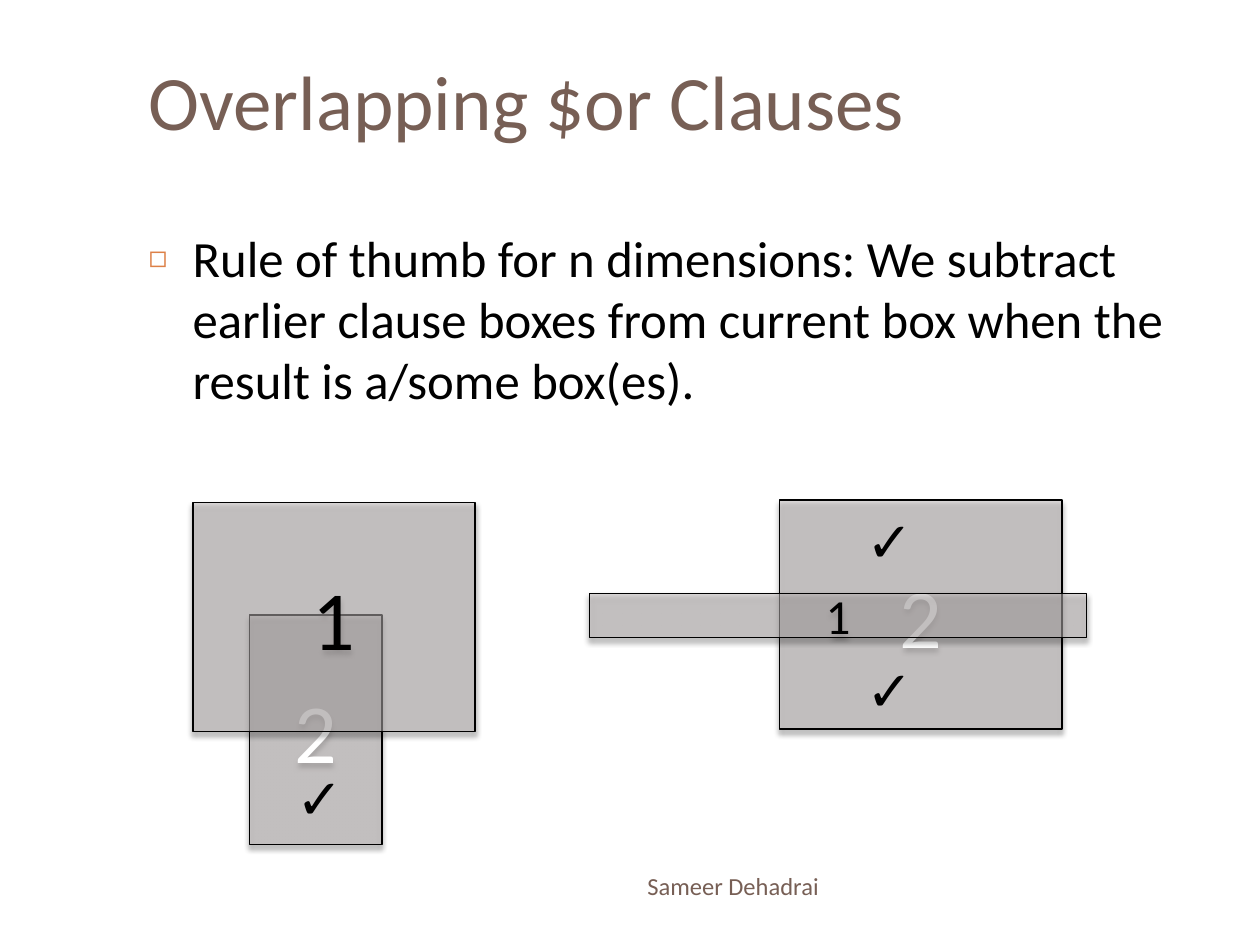
from lxml import etree
from pptx import Presentation
from pptx.dml.color import RGBColor
from pptx.enum.shapes import MSO_SHAPE
from pptx.enum.text import MSO_ANCHOR, MSO_AUTO_SIZE, PP_ALIGN
from pptx.oxml import parse_xml
from pptx.oxml.ns import qn
from pptx.util import Cm, Pt

RECTANGLE = MSO_SHAPE.RECTANGLE
TOP, MIDDLE = MSO_ANCHOR.TOP, MSO_ANCHOR.MIDDLE
LEFT, CENTER, RIGHT = PP_ALIGN.LEFT, PP_ALIGN.CENTER, PP_ALIGN.RIGHT
NO_FIT, GROW = MSO_AUTO_SIZE.NONE, MSO_AUTO_SIZE.SHAPE_TO_FIT_TEXT
NAMESPACE = "http://schemas.openxmlformats.org/drawingml/2006/main"

BROWN, ORANGE, GRAY = "775F55", "DD8047", "C0BABA"
BLACK, WHITE = "000000", "FFFFFF"

TITLE = "Overlapping $or Clauses"
RULE = ("Rule of thumb for n dimensions: We subtract earlier clause boxes "
        "from current box when the result is a/some box(es).")
AUTHOR = "Sameer Dehadrai"
CHECK = "✓"

TITLE_AREA = (2.74, 0.64, 22.66, 2.74)
BODY_AREA = (2.74, 4.45, 22.66, 12.5)
FOOTER_AREA = (1.7, 17.35, 15.06, 1.02)
CHECK_SIZE = (1.37, 1.63)

CLAUSES = [
    {"label": "2", "area": (5.03, 12.4, 2.67, 4.62), "size": 48,
     "color": WHITE, "checks": [(5.72, 15.27)]},
    {"label": "2", "area": (15.72, 10.08, 5.69, 4.62), "size": 48,
     "color": WHITE, "checks": [(17.22, 13.08), (17.22, 10.08)]},
    {"label": "1", "area": (11.89, 11.96, 10.01, 0.89), "size": 28,
     "color": BLACK, "checks": []},
    {"label": "1", "area": (3.89, 10.13, 5.69, 4.62), "size": 48,
     "color": BLACK, "checks": []},
]


def paint(color_format, color):
    color_format.rgb = RGBColor.from_string(color)


def place(shape, area):
    shape.left, shape.top, shape.width, shape.height = map(Cm, area)


def write(shape, text, size, color, align=LEFT, anchor=MIDDLE, font="Calibri",
          wrap=True, fit=NO_FIT):
    frame = shape.text_frame
    frame.text = text
    frame.word_wrap = wrap
    frame.auto_size = fit
    frame.vertical_anchor = anchor
    paragraph = frame.paragraphs[0]
    paragraph.alignment = align
    run_font = paragraph.runs[0].font
    run_font.name = font
    run_font.size = Pt(size)
    paint(run_font.color, color)
    return paragraph


def add_bullet(paragraph, character, color, percent, indent):
    properties = paragraph._p.get_or_add_pPr()
    properties.set("marL", str(indent))
    properties.set("indent", str(-indent))
    bullet_color = etree.SubElement(properties, qn("a:buClr"))
    etree.SubElement(bullet_color, qn("a:srgbClr"), val=color)
    etree.SubElement(properties, qn("a:buSzPct"), val=str(percent * 1000))
    etree.SubElement(properties, qn("a:buChar"), char=character)


def add_shadow(shape):
    shape._element.spPr.append(parse_xml(
        f'<a:effectLst xmlns:a="{NAMESPACE}">'
        f'<a:outerShdw blurRad="{Pt(3)}" dist="{Pt(2.4)}" dir="5400000" '
        f'rotWithShape="0"><a:srgbClr val="{BLACK}"><a:alpha val="45000"/>'
        '</a:srgbClr></a:outerShdw></a:effectLst>'))


def add_clause(slide, clause):
    box = slide.shapes.add_shape(RECTANGLE, *map(Cm, clause["area"]))
    box.fill.solid()
    paint(box.fill.fore_color, GRAY)
    fill_color = box._element.spPr.find(qn("a:solidFill"))[0]
    etree.SubElement(fill_color, qn("a:alpha"), val="50000")
    paint(box.line.color, BLACK)
    box.line.width = Pt(0.79)
    add_shadow(box)
    write(box, clause["label"], clause["size"], clause["color"], CENTER)
    for position in clause["checks"]:
        check = slide.shapes.add_textbox(*map(Cm, position + CHECK_SIZE))
        write(check, CHECK, 32, BLACK, anchor=TOP, font="Arial",
              wrap=False, fit=GROW)


def main():
    presentation = Presentation()
    presentation.slide_width, presentation.slide_height = Cm(25.4), Cm(19.05)
    slide = presentation.slides.add_slide(presentation.slide_layouts[1])

    title, body = slide.placeholders
    place(title, TITLE_AREA)
    write(title, TITLE, 44, BROWN)
    place(body, BODY_AREA)
    paragraph = write(body, RULE, 29, BLACK, anchor=TOP)
    paragraph.space_before = Pt(7)
    add_bullet(paragraph, "◻", ORANGE, 60, Cm(0.89))

    for clause in CLAUSES:
        add_clause(slide, clause)

    footer = slide.shapes.add_textbox(*map(Cm, FOOTER_AREA))
    write(footer, AUTHOR, 14, BROWN, RIGHT)
    presentation.save("out.pptx")


if __name__ == "__main__":
    main()
